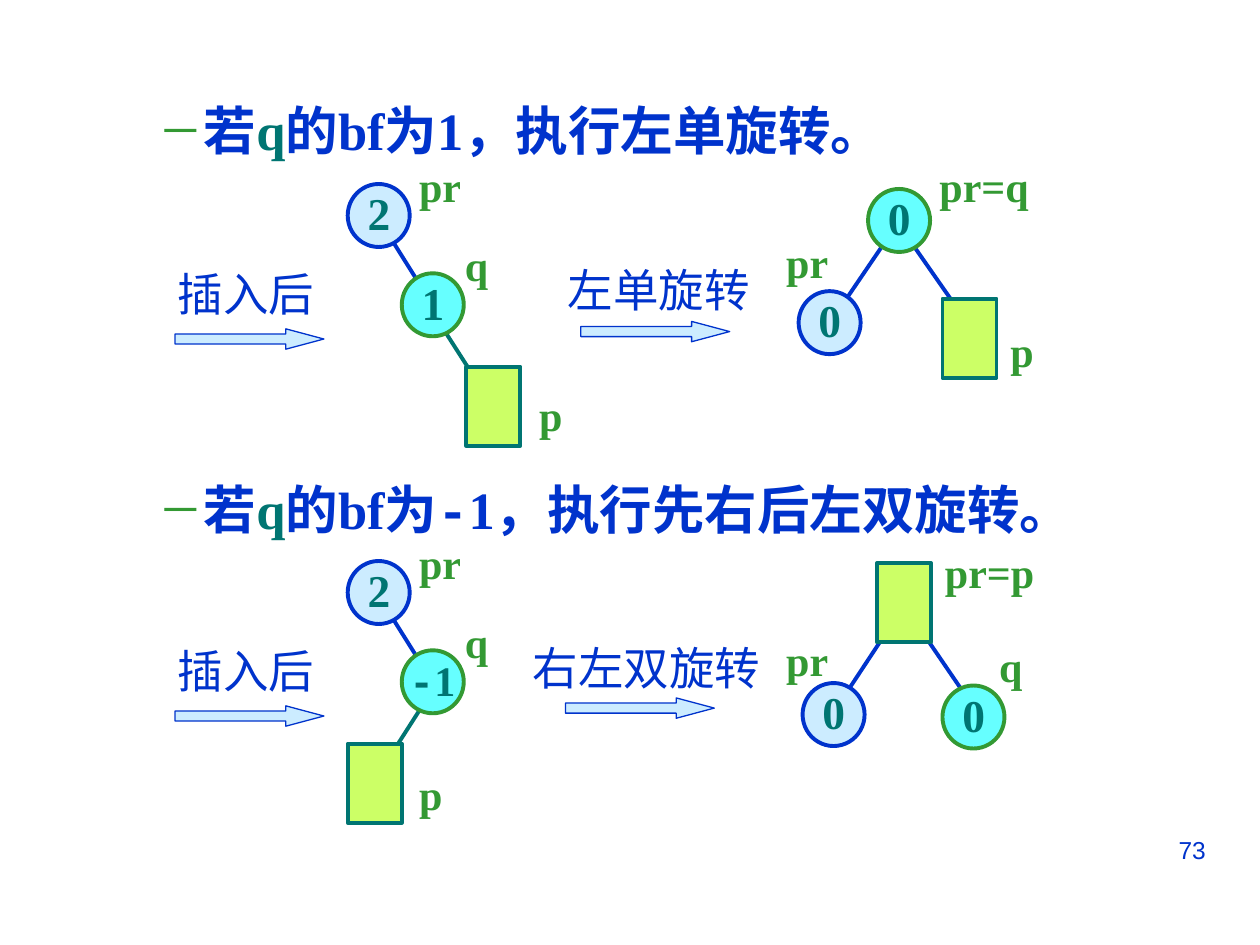
from dataclasses import dataclass

from lxml import etree
from pptx import Presentation
from pptx import util as u
from pptx.dml.color import RGBColor
from pptx.enum import shapes, text
from pptx.oxml import ns


@dataclass(frozen=True)
class Theme:
    blue: str = "0033CC"
    green: str = "339933"
    teal: str = "007572"
    pale: str = "CCECFF"
    cyan: str = "66FFFF"
    lime: str = "CCFF66"
    serif: str = "Times New Roman"
    sans: str = "Arial"
    mono: str = "Courier New"
    heading_size: int = 30
    caption_size: int = 26
    label_size: int = 24
    page_size: int = 14


THEME = Theme()
HEADING = dict(name=THEME.serif, size=THEME.heading_size, bold=True, color=THEME.blue)
CAPTION = dict(name=THEME.sans, size=THEME.caption_size, color=THEME.blue)
LABEL = dict(name=THEME.serif, size=THEME.label_size, bold=True, color=THEME.green)
FACTOR = dict(name=THEME.serif, size=THEME.caption_size, bold=True, color=THEME.teal)
SMALL_FACTOR = FACTOR | dict(size=THEME.label_size)
PAGE = dict(name=THEME.sans, size=THEME.page_size, color=THEME.blue)

ROW_STEP = 7.6
NODE_SIZE = (1.25, 1.27)
LEAF_SIZE = (1.09, 1.6)
ARROW_SIZE = (3, 0.41)
LABEL_WIDTHS = {"p": 0.97, "q": 0.97, "pr": 1.35, "pr=q": 2.31, "pr=p": 2.31}
NODE_COLORS = {"pr": (THEME.pale, THEME.blue), "q": (THEME.cyan, THEME.green)}


def cm(*lengths):
    return [u.Cm(length) for length in lengths]


def set_font(font, style):
    for key, value in style.items():
        if key == "color":
            font.color.rgb = RGBColor.from_string(value)
        else:
            setattr(font, key, u.Pt(value) if key == "size" else value)


def add_text(parent, box, runs, wrap=False, align=None):
    """Write (text, style) runs into a text box and return its paragraph."""
    frame = parent.add_textbox(*cm(*box)).text_frame
    frame.word_wrap = wrap
    if not wrap:
        frame.auto_size = text.MSO_AUTO_SIZE.SHAPE_TO_FIT_TEXT
    line = frame.paragraphs[0]
    line.alignment = align
    for words, style in runs:
        run = line.add_run()
        run.text = words
        set_font(run.font, style)
    return line


def add_heading(parent, top, runs):
    line = add_text(parent, (1.8, top, 21.87, 1.8), runs, wrap=True)
    line.line_spacing = 1.1
    props = line._p.get_or_add_pPr()
    props.set("marL", str(u.Cm(2.06)))
    props.set("indent", str(-u.Cm(0.79)))
    color = etree.SubElement(props, ns.qn("a:buClr"))
    etree.SubElement(color, ns.qn("a:srgbClr"), val=THEME.green)
    etree.SubElement(props, ns.qn("a:buSzPct"), val="85000")
    etree.SubElement(props, ns.qn("a:buFont"), typeface=THEME.serif)
    etree.SubElement(props, ns.qn("a:buChar"), char="─")


def add_figure(parent, kind, place, size, fill, line, weight=2.25):
    figure = parent.add_shape(kind, *cm(*place, *size))
    figure.shadow.inherit = False
    figure.fill.solid()
    figure.fill.fore_color.rgb = RGBColor.from_string(fill)
    figure.line.color.rgb = RGBColor.from_string(line)
    figure.line.width = u.Pt(weight)
    return figure


def add_edge(parent, start, end, color):
    edge = parent.add_connector(shapes.MSO_CONNECTOR.STRAIGHT, *cm(*start, *end))
    edge.line.color.rgb = RGBColor.from_string(color)
    edge.line.width = u.Pt(2.25)
    etree.SubElement(edge._element.spPr, ns.qn("a:effectLst"))


def add_node(parent, role, x, y, factor):
    add_figure(parent, shapes.MSO_SHAPE.OVAL, (x, y), NODE_SIZE, *NODE_COLORS[role])
    if factor.startswith("-"):
        runs = [("-", SMALL_FACTOR | dict(name=THEME.mono)), (factor[1:], SMALL_FACTOR)]
        add_text(parent, (x - 0.1, y - 0.05, 1.6, 1.27), runs)
    else:
        add_text(parent, (x + 0.15, y - 0.1, 0.97, 1.37), [(factor, FACTOR)])


def add_tree(slide, top, edges, nodes, leaf, labels):
    """Draw one grouped tree; its heights are counted from the row's top."""
    tree = slide.shapes.add_group_shape().shapes
    for (x1, y1), (x2, y2), color in edges:
        add_edge(tree, (x1, y1 + top), (x2, y2 + top), color)
    for role, x, y, factor in nodes:
        add_node(tree, role, x, y + top, factor)
    add_figure(tree, shapes.MSO_SHAPE.RECTANGLE, (leaf[0], leaf[1] + top),
               LEAF_SIZE, THEME.lime, THEME.teal)
    for name, x, y in labels:
        add_text(tree, (x, y + top, LABEL_WIDTHS[name], 1.27), [(name, LABEL)])


def add_step(slide, caption, caption_at, arrow_at):
    arrow = add_figure(slide.shapes, shapes.MSO_SHAPE.RIGHT_ARROW, arrow_at,
                       ARROW_SIZE, THEME.pale, THEME.blue, 0.75)
    arrow.adjustments[1] = 1.87
    width = 0.51 + 0.92 * len(caption)
    add_text(slide.shapes, (*caption_at, width, 1.37), [(caption, CAPTION)])


def add_inserted_tree(slide, top, q_factor, leaf_edge, leaf, p_label):
    """The tree after insertion: pr and q stay put, the leaf p changes side."""
    add_step(slide, "插入后", (3.33, 5.23 + top), (3.53, 6.63 + top))
    add_tree(slide, top,
             [(*leaf_edge, THEME.teal), ((7.75, 4.6), (8.69, 6.1), THEME.blue)],
             [("pr", 7.01, 3.71, "2"), ("q", 8.1, 5.51, q_factor)],
             leaf,
             [("q", 9.12, 4.7), ("pr", 8.2, 3.12), ("p", *p_label)])


def main():
    deck = Presentation()
    deck.slide_width, deck.slide_height = cm(25.4, 19.05)
    slide = deck.slides.add_slide(deck.slide_layouts[6])

    # Headings and page number
    q_run = ("q", HEADING | dict(color=THEME.teal))
    add_heading(slide.shapes, 1.73,
                [("若", HEADING), q_run, ("的bf为1，执行左单旋转。", HEADING)])
    add_heading(slide.shapes, 9.37,
                [("若", HEADING), q_run, ("的bf为", HEADING),
                 ("-", HEADING | dict(name=THEME.mono)),
                 ("1，执行先右后左双旋转。", HEADING)])
    add_text(slide.shapes, (18.21, 16.71, 6.35, 1.32), [("73", PAGE)],
             wrap=True, align=text.PP_ALIGN.RIGHT)

    # Single left rotation
    add_inserted_tree(slide, 0, "1", ((8.79, 6.4), (9.75, 7.9)),
                      (9.4, 7.39), (10.62, 7.72))
    add_step(slide, "左单旋转", (11.2, 5.16), (11.71, 6.48))
    add_tree(slide, 0,
             [((17.86, 4.85), (16.84, 6.35), THEME.blue),
              ((18.24, 4.7), (19.25, 6.15), THEME.blue)],
             [("q", 17.5, 3.81, "0"), ("pr", 16.1, 5.87, "0")],
             (19, 6.02),
             [("pr", 15.6, 4.65), ("p", 20.12, 6.43), ("pr=q", 18.69, 3.12)])

    # Double rotation: right, then left
    add_inserted_tree(slide, ROW_STEP, "-1", ((8.66, 6.4), (7.7, 7.9)),
                      (7.01, 7.39), (8.2, 7.77))
    add_step(slide, "右左双旋转", (10.49, 5.18 + ROW_STEP), (11.4, 6.47 + ROW_STEP))
    add_tree(slide, ROW_STEP,
             [((18.03, 4.9), (17.04, 6.4), THEME.blue),
              ((18.44, 4.92), (19.43, 6.37), THEME.blue)],
             [("q", 19, 6.22, "0"), ("pr", 16.18, 6.17, "0")],
             (17.68, 3.75),
             [("pr", 15.6, 5.07), ("q", 19.89, 5.18), ("pr=p", 18.8, 3.3)])

    deck.save("out.pptx")


if __name__ == "__main__":
    main()
